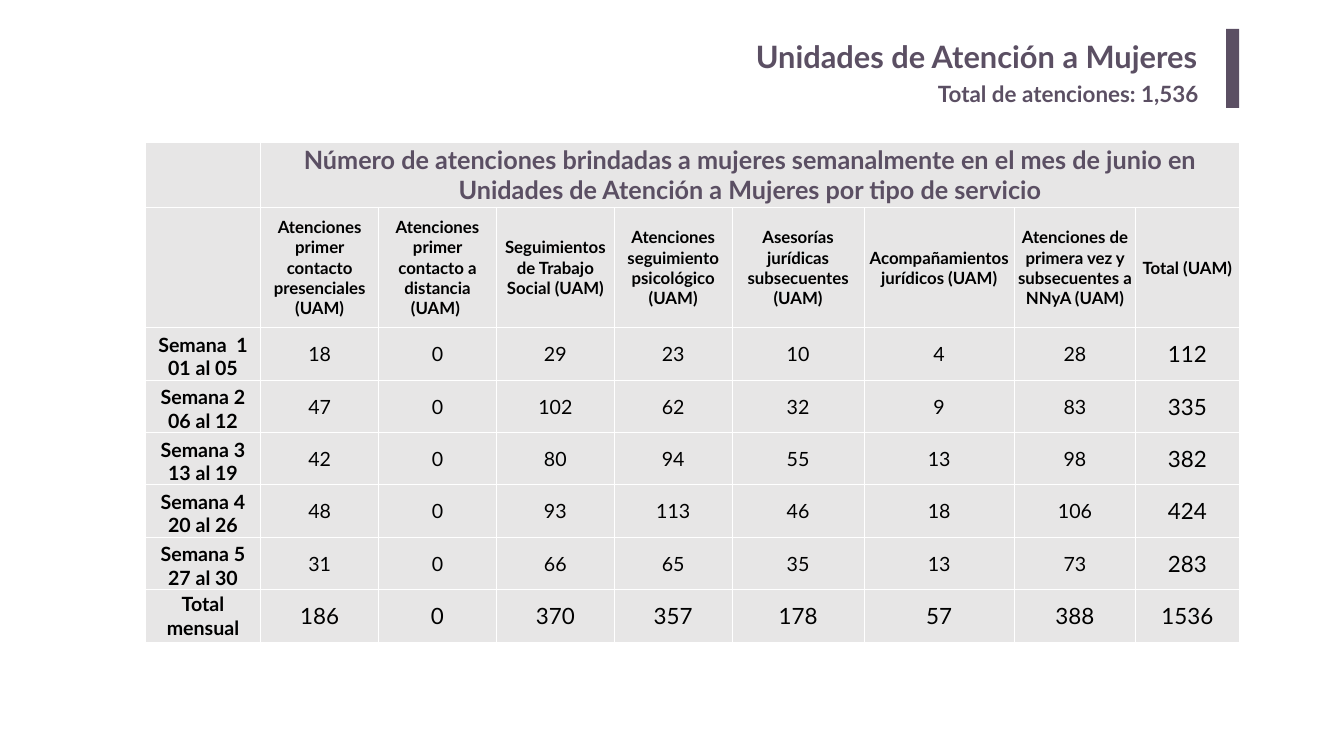
from lxml import etree
from pptx import Presentation, util as u
from pptx.dml.color import RGBColor
from pptx.enum import shapes, text
from pptx.oxml.ns import qn

PURPLE = RGBColor(0x5B, 0x4F, 0x63)
GREY = RGBColor(0xE7, 0xE6, 0xE6)
BLACK = RGBColor(0, 0, 0)
WHITE = RGBColor(0xFF, 0xFF, 0xFF)
FONT = "Lato"

# Content
TITLE = "Unidades de Atención a Mujeres"
SUBTITLE = "Total de atenciones: 1,536"
HEADING = ("Número de atenciones brindadas a mujeres semanalmente en el mes de junio "
           "en Unidades de Atención a Mujeres por tipo de servicio")
SERVICES = [
    "Atenciones primer contacto presenciales (UAM)",
    "Atenciones primer contacto a distancia (UAM) ",
    "Seguimientos de Trabajo Social (UAM)",
    "Atenciones seguimiento psicológico (UAM)",
    "Asesorías jurídicas subsecuentes (UAM)",
    "Acompañamientos jurídicos (UAM)",
    "Atenciones de primera vez y subsecuentes a NNyA (UAM)",
    "Total (UAM)",
]
WEEKS = [
    ("Semana  1\n01 al 05", [18, 0, 29, 23, 10, 4, 28]),
    ("Semana 2\n06 al 12", [47, 0, 102, 62, 32, 9, 83]),
    ("Semana 3\n13 al 19", [42, 0, 80, 94, 55, 13, 98]),
    ("Semana 4\n20 al 26", [48, 0, 93, 113, 46, 18, 106]),
    ("Semana 5\n27 al 30", [31, 0, 66, 65, 35, 13, 73]),
]
MONTH = "Total mensual"

# Sizes in cm
COLUMNS = [5.82] + [5.94] * 4 + [6.65, 7.57, 6.12, 5.21]
ROWS = [3.28, 6.07] + [2.64] * (len(WEEKS) + 1)

# Text formats
TITLE_FONT = dict(size=u.Pt(44), bold=True)
SUBTITLE_FONT = dict(size=u.Pt(32), bold=True)
HEADING_FONT = dict(size=u.Pt(36), bold=True)
SERVICE_FONT = dict(size=u.Pt(24), bold=True)
LABEL_FONT = dict(size=u.Pt(28), bold=True)
COUNT_FONT = dict(size=u.Pt(28), bold=False)
TOTAL_FONT = dict(size=u.Pt(32), bold=False)
CENTER, RIGHT, LEFT = text.PP_ALIGN.CENTER, text.PP_ALIGN.RIGHT, text.PP_ALIGN.LEFT
MIDDLE, BOTTOM = text.MSO_ANCHOR.MIDDLE, text.MSO_ANCHOR.BOTTOM


def write(frame, words, look, color, align):
    paragraph = frame.paragraphs[0]
    paragraph.text = words
    paragraph.alignment = align
    for run in paragraph.runs:
        for key, value in {"name": FONT, **look}.items():
            setattr(run.font, key, value)
        run.font.color.rgb = color


def add_heading(slide, words, place, look, align, inset):
    frame = slide.shapes.add_textbox(*map(u.Cm, place)).text_frame
    margins = dict(margin_left=inset, margin_right=inset,
                   margin_top=inset / 2, margin_bottom=inset / 2)
    for side, value in margins.items():
        setattr(frame, side, u.Cm(value))
    frame.word_wrap = True
    write(frame, words, look, PURPLE, align)


def add_borders(cell):
    props = cell._tc.get_or_add_tcPr()
    for index, side in enumerate(("lnL", "lnR", "lnT", "lnB")):
        line = etree.Element(qn(f"a:{side}"), w=str(u.Pt(1)))
        fill = etree.SubElement(line, qn("a:solidFill"))
        etree.SubElement(fill, qn("a:srgbClr"), val=str(WHITE))
        props.insert(index, line)


def fill_cell(cell, words, look, color=BLACK, anchor=MIDDLE):
    write(cell.text_frame, words, look, color, CENTER)
    cell.vertical_anchor = anchor


deck = Presentation()
deck.slide_width, deck.slide_height = u.Cm(67.74), u.Cm(38.1)
slide = deck.slides.add_slide(deck.slide_layouts[6])

# Side bar
bar = slide.shapes.add_shape(shapes.MSO_SHAPE.RECTANGLE,
                             *map(u.Cm, (61.8, 1.45, 0.66, 3.99)))
bar.shadow.inherit = False
bar.fill.solid()
bar.fill.fore_color.rgb = PURPLE
bar.line.fill.background()

# Table grid
services = slide.shapes.add_table(
    len(ROWS), len(COLUMNS),
    *map(u.Cm, (7.32, 7.16, sum(COLUMNS), sum(ROWS)))).table
services.first_row = services.horz_banding = False
for column, width in zip(services.columns, COLUMNS):
    column.width = u.Cm(width)
for row, height in zip(services.rows, ROWS):
    row.height = u.Cm(height)
for cell in services.iter_cells():
    cell.margin_left = cell.margin_right = cell.margin_top = u.Cm(0.03)
    cell.margin_bottom = 0
    cell.fill.solid()
    cell.fill.fore_color.rgb = GREY
    add_borders(cell)

# Table headings
services.cell(0, 1).merge(services.cell(0, len(SERVICES)))
fill_cell(services.cell(0, 1), HEADING, HEADING_FONT, PURPLE)
for c, service in enumerate(SERVICES, 1):
    fill_cell(services.cell(1, c), service, SERVICE_FONT)

# Weekly counts, with totals by week and by service
month_counts = [sum(counts) for counts in zip(*(counts for _, counts in WEEKS))]
for r, (label, counts) in enumerate(WEEKS + [(MONTH, month_counts)], 2):
    is_month = label == MONTH
    fill_cell(services.cell(r, 0), label, LABEL_FONT,
              anchor=MIDDLE if is_month else BOTTOM)
    for c, count in enumerate(counts + [sum(counts)], 1):
        is_total = is_month or c == len(SERVICES)
        fill_cell(services.cell(r, c), str(count), TOTAL_FONT if is_total else COUNT_FONT)

# Slide headings
add_heading(slide, TITLE, (9.3, 1.63, 51.56, 2.59), TITLE_FONT, RIGHT, 0.5)
add_heading(slide, SUBTITLE, (47.02, 3.89, 14, 1.63), SUBTITLE_FONT, LEFT, 0.25)

deck.save("out.pptx")
